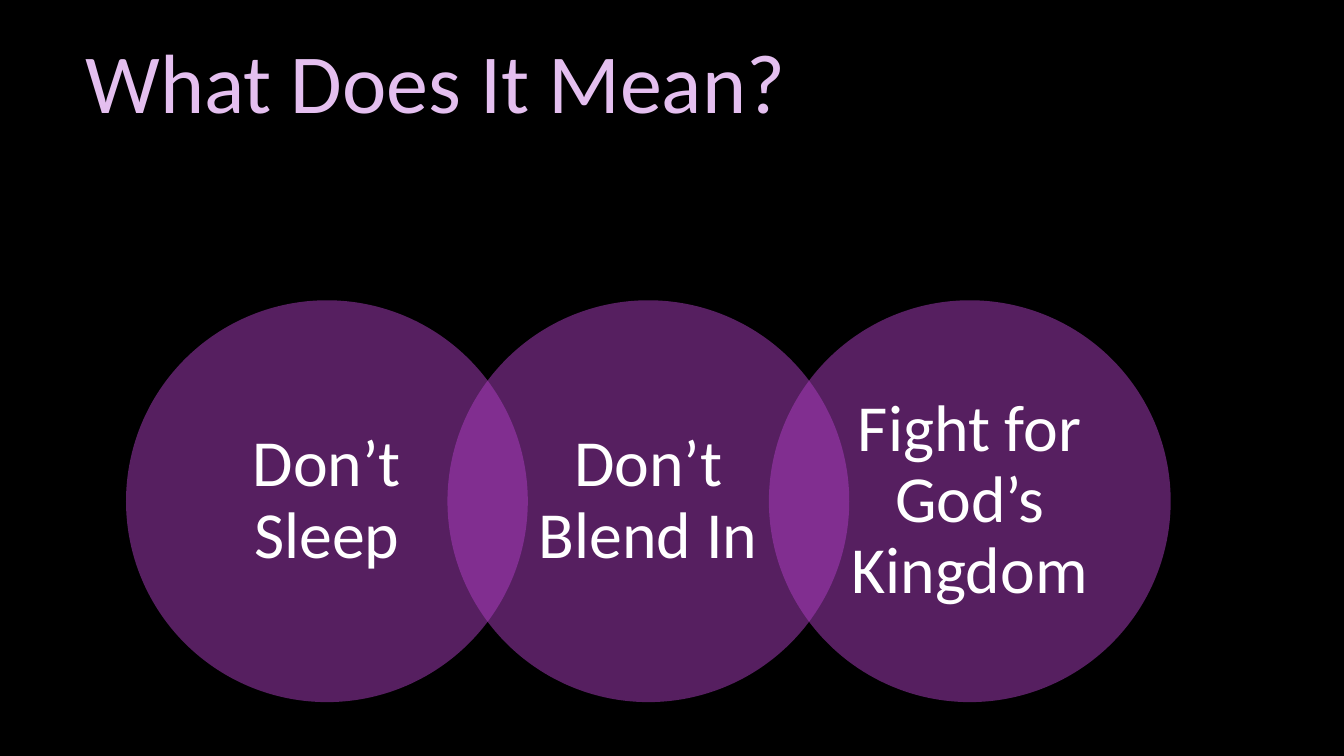
from lxml.etree import SubElement
from pptx import Presentation
from pptx.dml.color import RGBColor
from pptx.enum.shapes import MSO_SHAPE
from pptx.enum.text import MSO_ANCHOR, PP_ALIGN
from pptx.oxml.ns import qn
from pptx.util import Pt


def paint(fill, color):
    fill.solid()
    fill.fore_color.rgb = RGBColor.from_string(color)


def write(frame, text, size, color):
    frame.word_wrap = True
    frame.vertical_anchor = MSO_ANCHOR.MIDDLE
    line = frame.paragraphs[0]
    line.text = text
    line.font.name = "Calibri"
    line.font.size = Pt(size)
    paint(line.font.fill, color)
    return line


deck = Presentation()
deck.slide_width = Pt(960)
deck.slide_height = Pt(540)
slide = deck.slides.add_slide(deck.slide_layouts[6])
paint(slide.background.fill, "000000")

title = slide.shapes.add_textbox(Pt(54), Pt(0), Pt(798), Pt(114.5))
write(title.text_frame, "What Does It Mean?", 60, "E4BFEF")

left, top, size = 90, 214.5, 287
step = size * 0.8
labels = ["Don’t Sleep", "Don’t Blend In", "Fight for God’s Kingdom"]
for i, label in enumerate(labels):
    ring = slide.shapes.add_shape(
        MSO_SHAPE.OVAL, Pt(left + i * step), Pt(top), Pt(size), Pt(size))
    ring.shadow.inherit = False
    ring.line.fill.background()
    paint(ring.fill, "AC3EC1")
    tint = ring.fill._xPr.find(qn("a:solidFill"))[0]
    SubElement(tint, qn("a:alpha"), val="50000")
    frame = ring.text_frame
    frame.margin_left = frame.margin_right = Pt(15.8)
    frame.margin_top = frame.margin_bottom = Pt(5)
    line = write(frame, label, 47, "FFFFFF")
    line.alignment = PP_ALIGN.CENTER
    line.line_spacing = 0.9

deck.save("out.pptx")
